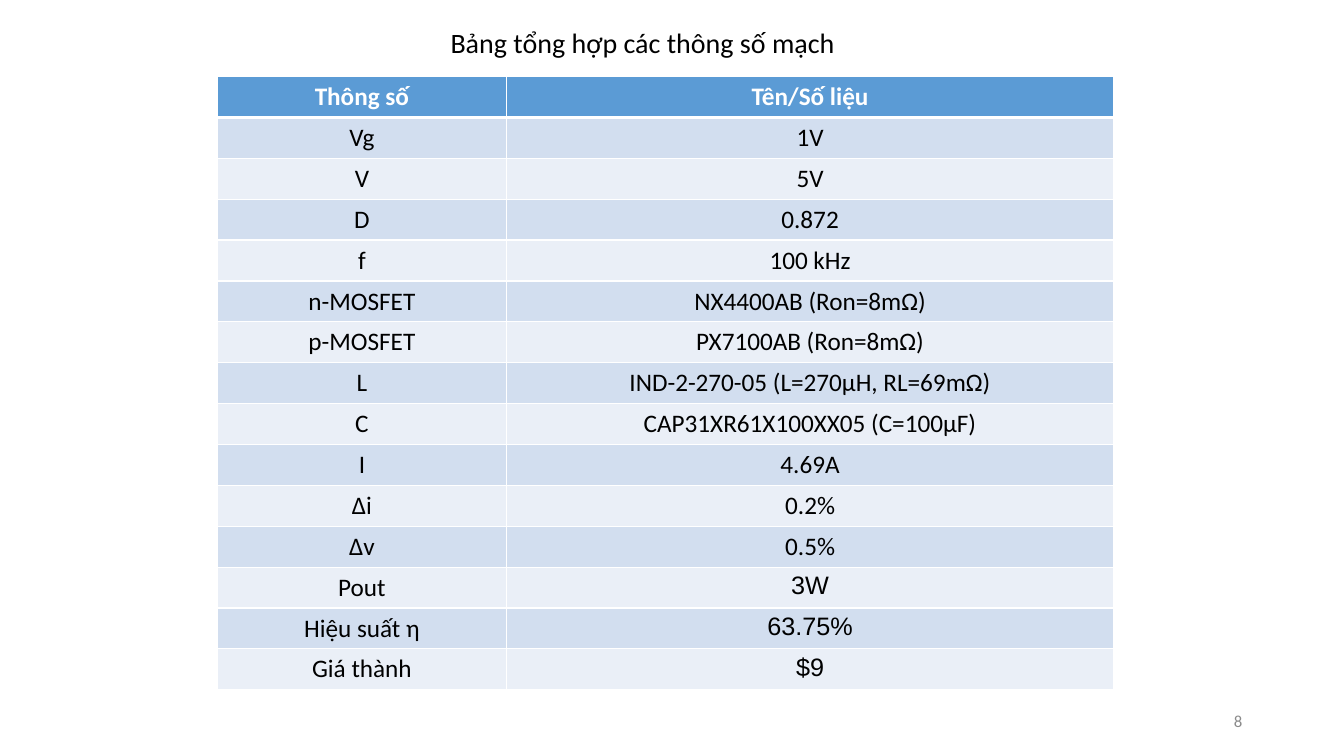
from lxml.etree import SubElement
from pptx import Presentation
from pptx.dml.color import RGBColor
from pptx.enum.text import MSO_ANCHOR, PP_ALIGN
from pptx.oxml.ns import qn
from pptx.util import Inches, Pt

COLORS = {
    "header": "5B9BD5",
    "odd": "D2DEEF",
    "even": "EAEFF7",
    "grid": "FFFFFF",
    "ink": "000000",
    "muted": "8B8B8B",
}
PARAMETERS = [
    ("Thông số", "Tên/Số liệu"),
    ("Vg", "1V"),
    ("V", "5V"),
    ("D", "0.872"),
    ("f", "100 kHz"),
    ("n-MOSFET", "NX4400AB (Ron=8mΩ)"),
    ("p-MOSFET", "PX7100AB (Ron=8mΩ)"),
    ("L", "IND-2-270-05 (L=270μH, RL=69mΩ)"),
    ("C", "CAP31XR61X100XX05 (C=100μF)"),
    ("I", "4.69A"),
    ("∆i", "0.2%"),
    ("∆v", "0.5%"),
    ("Pout", "3W"),
    ("Hiệu suất η", "63.75%"),
    ("Giá thành", "$9"),
]
ARIAL_VALUES = {"3W", "63.75%", "$9"}


def write(frame, text, align, color, **font_format):
    paragraph = frame.paragraphs[0]
    paragraph.alignment = align
    run = paragraph.add_run()
    run.text = text
    run.font.color.rgb = RGBColor.from_string(COLORS[color])
    for attribute, value in font_format.items():
        setattr(run.font, attribute, value)


def draw_border(cell, side, points):
    line = SubElement(cell._tc.get_or_add_tcPr(), qn(f"a:ln{side}"), w=str(Pt(points)))
    fill = SubElement(line, qn("a:solidFill"))
    SubElement(fill, qn("a:srgbClr"), val=COLORS["grid"])


presentation = Presentation()
presentation.slide_width = Inches(13.33)
presentation.slide_height = Inches(7.5)
slide = presentation.slides.add_slide(presentation.slide_layouts[6])

column_widths = [Inches(2.86), Inches(6.03)]
table_height = Inches(6.08)
summary = slide.shapes.add_table(
    len(PARAMETERS), len(column_widths),
    Inches(2.16), Inches(0.76), sum(column_widths), table_height,
).table
for column, width in zip(summary.columns, column_widths):
    column.width = width

for row_index, entries in enumerate(PARAMETERS):
    summary.rows[row_index].height = table_height // len(PARAMETERS)
    is_header = row_index == 0
    band = "header" if is_header else "odd" if row_index % 2 else "even"
    borders = {"L": 1, "R": 1, "T": 3 if row_index == 1 else 1, "B": 3 if is_header else 1}
    for column_index, entry in enumerate(entries):
        cell = summary.cell(row_index, column_index)
        for side, points in borders.items():
            draw_border(cell, side, points)
        cell.fill.solid()
        cell.fill.fore_color.rgb = RGBColor.from_string(COLORS[band])
        write(
            cell.text_frame, entry, PP_ALIGN.CENTER, "grid" if is_header else "ink",
            size=Pt(18), bold=is_header,
            name="Arial" if entry in ARIAL_VALUES else "Calibri",
        )

CAPTIONS = [
    ("8", (9.42, 6.95, 3, 0.4), MSO_ANCHOR.MIDDLE, PP_ALIGN.RIGHT, "muted", 12),
    ("Bảng tổng hợp các thông số mạch", (4.37, 0.2, 4.17, 0.58),
     MSO_ANCHOR.TOP, PP_ALIGN.LEFT, "ink", 20),
]
for caption, bounds, anchor, align, color, size in CAPTIONS:
    frame = slide.shapes.add_textbox(*map(Inches, bounds)).text_frame
    frame.word_wrap = True
    frame.vertical_anchor = anchor
    write(frame, caption, align, color, size=Pt(size), name="Calibri")

presentation.save("out.pptx")
